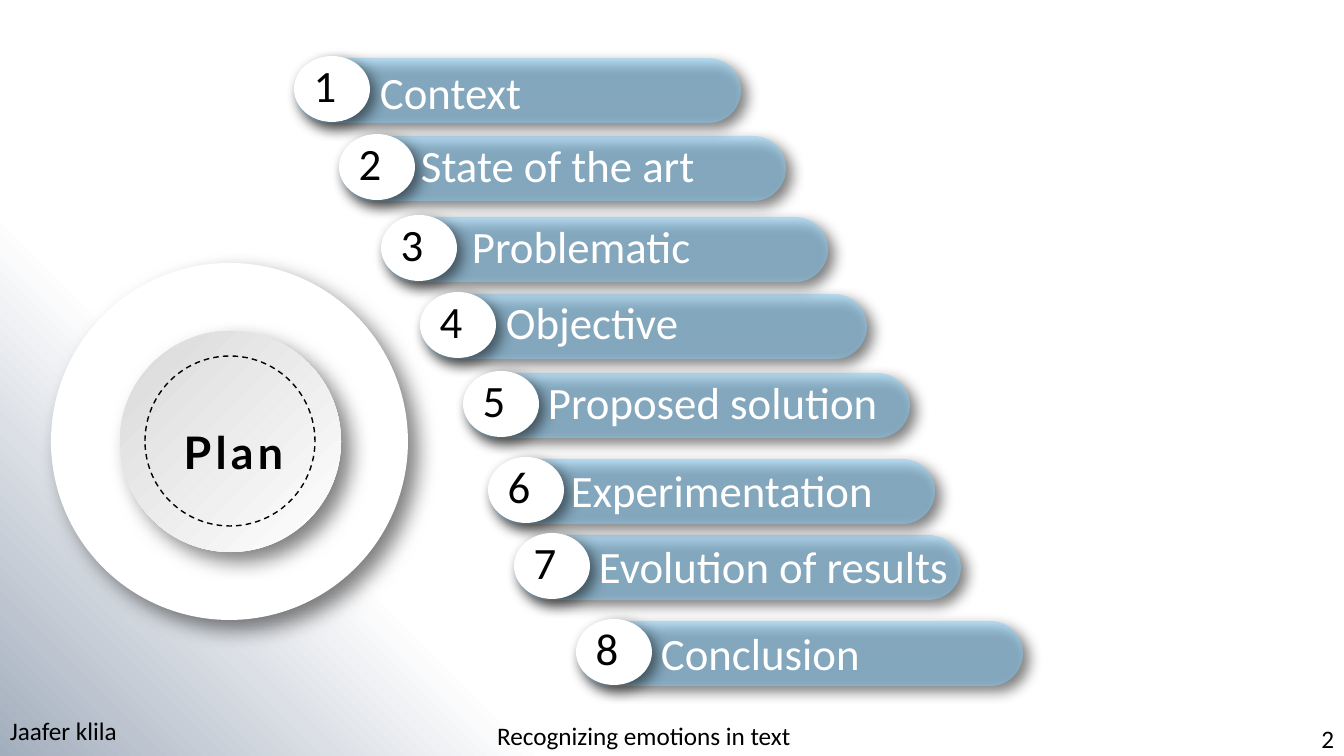
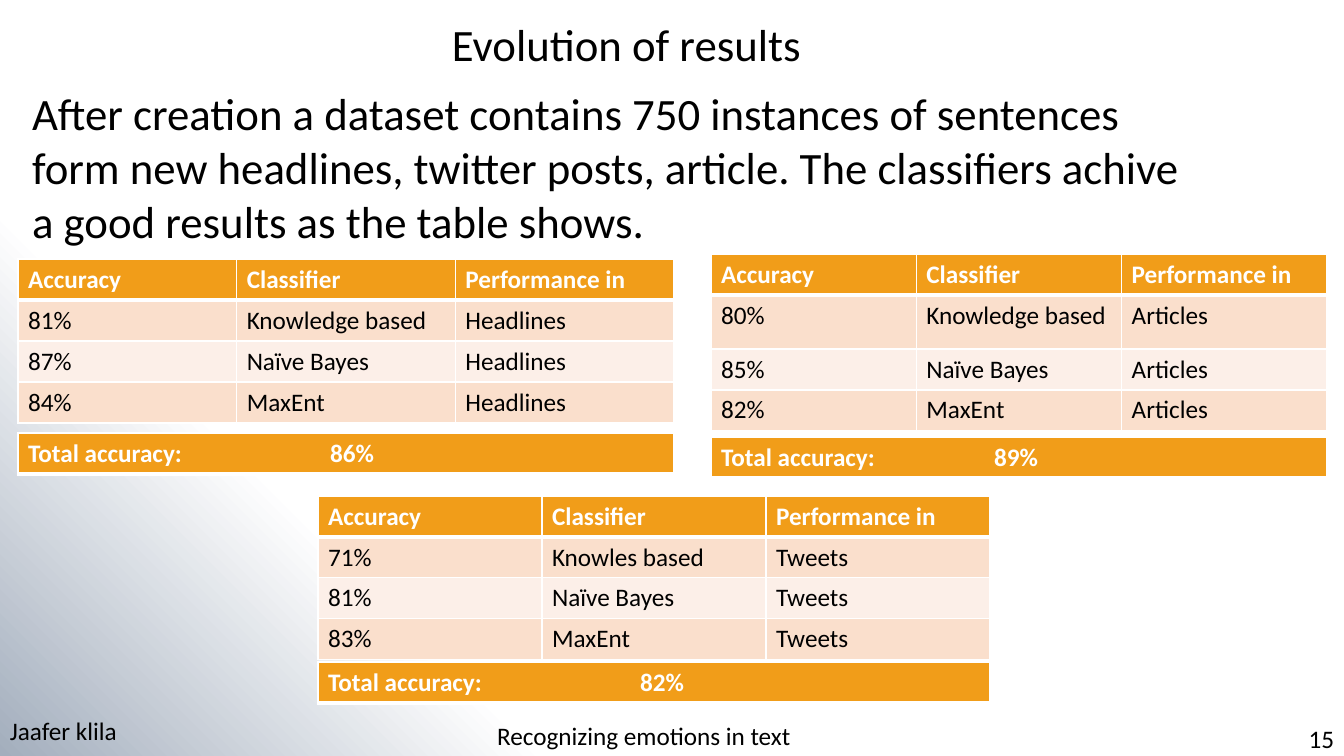
"""Build a plan slide and a results slide that share background and footer."""
from lxml import etree
from pptx import Presentation
from pptx.dml.color import RGBColor
from pptx.enum import dml, shapes, text
from pptx.oxml import ns
from pptx.util import Pt

WHITE = RGBColor(0xFF, 0xFF, 0xFF)
BLACK = RGBColor(0, 0, 0)
SLATE = RGBColor(0xA3, 0xAE, 0xBD)
GREY = RGBColor(0xD9, 0xD9, 0xD9)
SKY = RGBColor(0x87, 0xCE, 0xFA)
ORANGE = RGBColor(0xF1, 0x9D, 0x19)
PEACH = RGBColor(0xFA, 0xDF, 0xCC)
CREAM = RGBColor(0xFC, 0xEF, 0xE8)
FONT = "Calibri"
WIDE, HIGH = 1344, 756

AUTHOR = "Jaafer klila"
TOPIC = "Recognizing emotions in text"

# Each step: label, disc corner, label offset from the disc
STEPS = [
    ("Context", (294, 56), (76, 4)),
    ("State of the art", (339, 134), (72, -1)),
    ("Problematic", (381, 215), (81, -1)),
    ("Objective", (420, 292), (76, -2)),
    ("Proposed solution", (463, 371), (75, -1)),
    ("Experimentation", (488, 457), (73, 1)),
    ("Evolution of results", (514, 533), (75, 1)),
    ("Conclusion", (576, 619), (75, 2)),
]

HEADS = ("Accuracy", "Classifier", "Performance in")
INTRO = ("After creation a dataset contains 750 instances of sentences form new "
         "headlines, twitter posts, article. The classifiers achive a good "
         "results as the table shows.")
TABLES = [
    dict(source="Headlines", at=(18, 259), wide=656, rows=(41, 41, 41, 41),
         scores=[("81%", "Knowledge based"), ("87%", "Naïve Bayes"), ("84%", "MaxEnt")],
         total="86%", foot=433, tab=302),
    dict(source="Articles", at=(711, 254), wide=616, rows=(41, 54, 41, 41),
         scores=[("80%", "Knowledge based"), ("85%", "Naïve Bayes"), ("82%", "MaxEnt")],
         total="89%", foot=437, tab=273),
    dict(source="Tweets", at=(318, 496), wide=672, rows=(41, 40, 40, 40),
         scores=[("71%", "Knowles based"), ("81%", "Naïve Bayes"), ("83%", "MaxEnt")],
         total="82%", foot=662, tab=312),
]


def px(n):
    return round(n * 914400 / 100.8)


def box(*nums):
    return [px(n) for n in nums]


def sub(node, tag, **attrs):
    return etree.SubElement(node, ns.qn(tag), {k: str(v) for k, v in attrs.items()})


def write(frame, words, size, color=BLACK, bold=False, font=FONT, align=None):
    frame.text = words
    para = frame.paragraphs[0]
    para.alignment = align
    face = para.font
    face.name, face.size, face.bold = font, Pt(size), bold
    face.color.rgb = color
    return para


def label(slide, words, spot, size=32, **style):
    frame = slide.shapes.add_textbox(*box(*spot)).text_frame
    frame.word_wrap = True
    write(frame, words, size, **style)


def place(holder, words, spot, **style):
    holder.left, holder.top, holder.width, holder.height = box(*spot)
    frame = holder.text_frame
    frame.auto_size = text.MSO_AUTO_SIZE.NONE
    frame.vertical_anchor = text.MSO_ANCHOR.TOP
    para = write(frame, words, 32, **style)
    para.space_before = Pt(0)
    return para


def blend(fill, stops, angle):
    fill.gradient()
    fill.gradient_angle = angle
    for stop, (pos, color) in zip(fill.gradient_stops, stops):
        stop.position, stop.color.rgb = pos, color


def shade(shape, blur, dist):
    effects = sub(shape.element.spPr, "a:effectLst")
    cast = sub(effects, "a:outerShdw", blurRad=Pt(blur), dist=Pt(dist),
               dir=45 * 60000, algn="tl", rotWithShape=0)
    sub(sub(cast, "a:srgbClr", val=BLACK), "a:alpha", val=50000)


def solid(slide, kind, spot, color=None, shadow=None):
    shape = slide.shapes.add_shape(kind, *box(*spot))
    shape.line.fill.background()
    if color is None:
        shape.fill.background()
    else:
        shape.fill.solid()
        shape.fill.fore_color.rgb = color
    if shadow:
        shade(shape, *shadow)
    else:
        shape.shadow.inherit = False
    return shape


def footer(slide, number):
    label(slide, AUTHOR, (0, 710, 282, 40), 18)
    label(slide, TOPIC, (362, 715, 564, 40), 18, align=text.PP_ALIGN.CENTER)
    label(slide, number, (WIDE - 80, 718, 80, 40), 18, align=text.PP_ALIGN.RIGHT)


def edge(cell, row):
    props = cell._tc.get_or_add_tcPr()
    sizes = dict(L=1, R=1, T=3 if row == 1 else 1, B=3 if row == 0 else 1)
    for spot, (side, size) in enumerate(sizes.items()):
        line = sub(props, f"a:ln{side}", w=Pt(size))
        sub(sub(line, "a:solidFill"), "a:srgbClr", val=WHITE)
        props.insert(spot, line)


def grid(slide, rows, spot, wide, heights):
    count = len(rows[0])
    table = slide.shapes.add_table(len(rows), count,
                                   *box(*spot, wide, sum(heights))).table
    table.horz_banding = False
    for col in table.columns:
        col.width = px(wide / count)
    for r, (words, high) in enumerate(zip(rows, heights)):
        table.rows[r].height = px(high)
        for c, word in enumerate(words):
            cell = table.cell(r, c)
            head = r == 0
            write(cell.text_frame, word, 18, WHITE if head else BLACK, head)
            cell.fill.solid()
            cell.fill.fore_color.rgb = ORANGE if head else (CREAM, PEACH)[r % 2]
            edge(cell, r)
    return table


def plan(slide):
    oval, pill = shapes.MSO_SHAPE.OVAL, shapes.MSO_SHAPE.ROUNDED_RECTANGLE
    solid(slide, oval, (51, 263, 357, 357), WHITE, (15, 10))
    hub = solid(slide, oval, (120, 331, 221, 221), WHITE, (15, 10))
    blend(hub.fill, [(0, WHITE), (1, GREY)], 135)
    ring = solid(slide, oval, (145, 356, 170, 170))
    ring.line.color.rgb, ring.line.width = BLACK, Pt(1)
    ring.line.dash_style = dml.MSO_LINE.DASH
    title = slide.shapes.title
    para = place(title, "Plan", (132, 420, 203, 65), bold=True, font="Lato",
                 align=text.PP_ALIGN.CENTER)
    para.runs[0]._r.get_or_add_rPr().set("spc", "300")
    title.element.getparent().append(title.element)

    for _, (x, y), _ in reversed(STEPS):
        bar = solid(slide, pill, (x + 1, y + 2, 446, 65), SKY, (10, 6))
        bar.adjustments[0] = 0.5
        tint = bar.element.spPr.find(".//" + ns.qn("a:srgbClr"))
        sub(tint, "a:alpha", val=50000)
    for num, (words, (x, y), (dx, dy)) in enumerate(STEPS, 1):
        disc = solid(slide, oval, (x, y, 76, 66), WHITE, (10, 6))
        frame = disc.text_frame
        frame.margin_left = frame.margin_top = 0
        frame.margin_right, frame.margin_bottom = box(14, 8)
        frame.vertical_anchor = text.MSO_ANCHOR.MIDDLE
        write(frame, str(num), 32, align=text.PP_ALIGN.CENTER)
        label(slide, words, (x + dx, y + dy, 375, 65), color=WHITE)


def results(slide):
    place(slide.shapes.title, "Evolution of results", (22, 12, 1209, 65),
          align=text.PP_ALIGN.CENTER)
    para = place(slide.placeholders[1], INTRO, (22, 81, 1184, 173))
    props = para._p.get_or_add_pPr()
    props.set("marL", "0")
    props.set("indent", "0")
    sub(props, "a:buNone")
    props.append(props.find(ns.qn("a:defRPr")))
    for item in TABLES:
        rows = [HEADS] + [(*score, item["source"]) for score in item["scores"]]
        grid(slide, rows, item["at"], item["wide"], item["rows"])
        total = grid(slide, [[f"Total accuracy:\t{item['total']}"]],
                     (item["at"][0], item["foot"]), item["wide"], [41])
        props = total.cell(0, 0).text_frame.paragraphs[0]._p.get_or_add_pPr()
        sub(sub(props, "a:tabLst"), "a:tab", pos=px(item["tab"]), algn="l")
        props.append(props.find(ns.qn("a:defRPr")))


def main():
    deck = Presentation()
    deck.slide_width, deck.slide_height = box(WIDE, HIGH)
    blend(deck.slide_master.background.fill, [(0.74, WHITE), (1, SLATE)], 225)
    for layout, draw, number in ((5, plan, "2"), (1, results, "15")):
        slide = deck.slides.add_slide(deck.slide_layouts[layout])
        draw(slide)
        footer(slide, number)
    deck.save("out.pptx")


if __name__ == "__main__":
    main()
